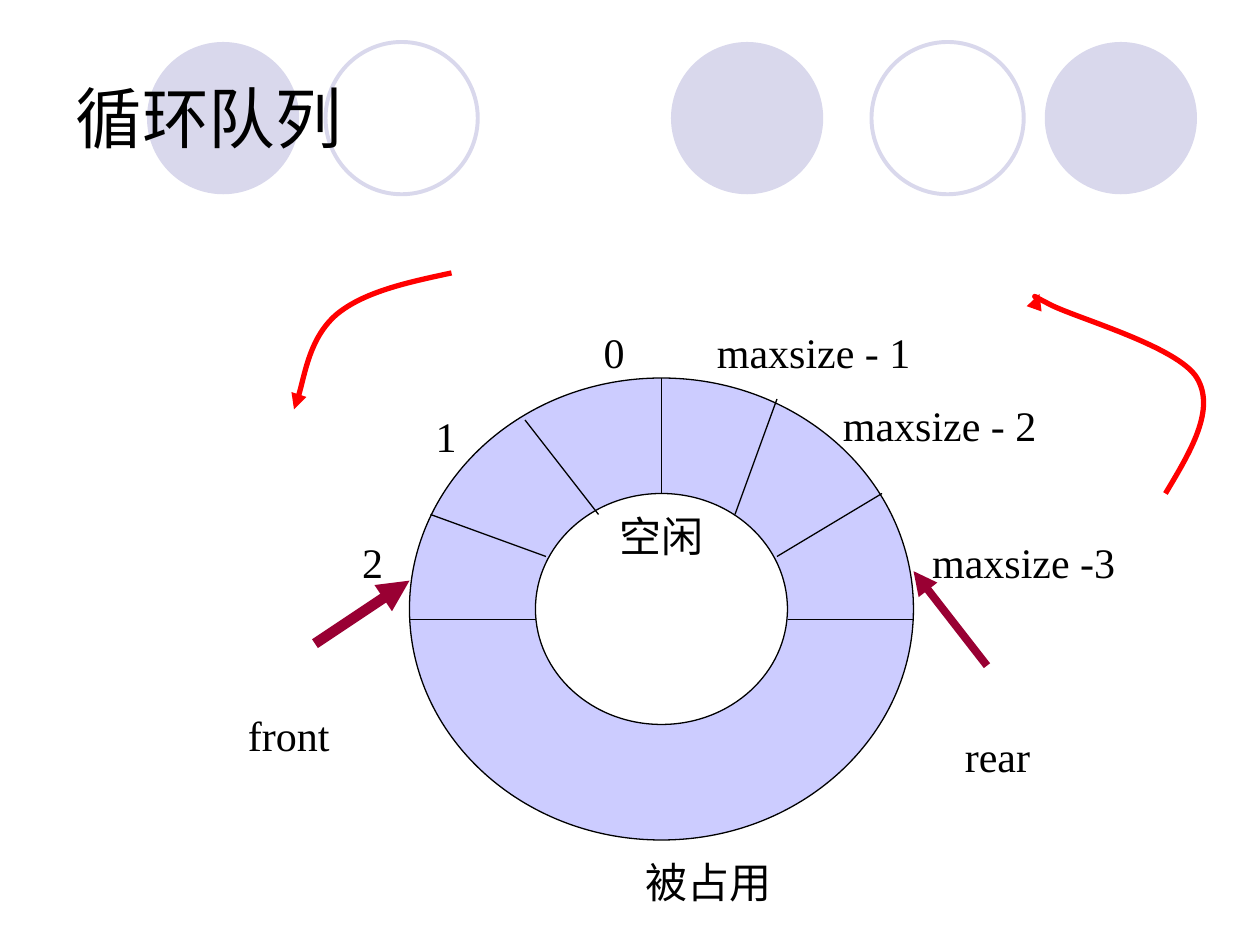
import pptx
import pptx.util
import pptx.dml.color
import pptx.enum.shapes
import pptx.enum.text
import pptx.oxml.ns
import lxml.etree

CELL = pptx.util.Inches(1) / 12
KAPPA = 0.5523
BLACK, LILAC, PALE, CRIMSON, RED = "000000", "CCCCFF", "D9D8EC", "990033", "FF0000"


def cells(*values):
    return [round(value * CELL) for value in values]


def shifted(box, points):
    return [(box[0] + x, box[1] + y) for x, y in points]


def color(code):
    return pptx.dml.color.RGBColor.from_string(code)


def set_fill(shape, code):
    if code:
        shape.fill.solid()
        shape.fill.fore_color.rgb = color(code)
    else:
        shape.fill.background()


def set_line(shape, code, width, arrow=False):
    if not code:
        shape.line.fill.background()
        return
    shape.line.color.rgb = color(code)
    shape.line.width = pptx.util.Pt(width)
    if arrow:
        outline = shape.line._get_or_add_ln()
        lxml.etree.SubElement(outline, pptx.oxml.ns.qn("a:tailEnd"), type="triangle")


def write_text(shape, text, size=24, font="Times New Roman", code=BLACK,
               align=pptx.enum.text.PP_ALIGN.CENTER, wrap=False):
    frame = shape.text_frame
    frame.word_wrap = wrap
    frame.vertical_anchor = pptx.enum.text.MSO_ANCHOR.MIDDLE
    paragraph = frame.paragraphs[0]
    paragraph.alignment = align
    run = paragraph.add_run()
    run.text = text
    run.font.size = pptx.util.Pt(size)
    run.font.name = font
    run.font.color.rgb = color(code)


def add_line(slide, start, end, code=BLACK, width=0.75, arrow=False):
    connector = slide.shapes.add_connector(
        pptx.enum.shapes.MSO_CONNECTOR.STRAIGHT, *cells(*start, *end))
    set_line(connector, code, width, arrow)
    lxml.etree.SubElement(connector._element.spPr, pptx.oxml.ns.qn("a:effectLst"))


def add_curves(slide, contours, closed=False, fill=None, code=BLACK, width=0.75, arrow=False):
    builder = slide.shapes.build_freeform(*cells(*contours[0][0]))
    for index, contour in enumerate(contours):
        if index:
            builder.move_to(*cells(*contour[0]))
        builder.add_line_segments([cells(*point) for point in contour[1:]], close=closed)
    shape = builder.convert_to_shape()
    segments = list(shape._element.iter(pptx.oxml.ns.qn("a:lnTo")))
    for first, *others in zip(segments[::3], segments[1::3], segments[2::3]):
        first.tag = pptx.oxml.ns.qn("a:cubicBezTo")
        for other in others:
            first.append(other[0])
            other.getparent().remove(other)
    shape.shadow.inherit = False
    set_fill(shape, fill)
    set_line(shape, code, width, arrow)


def ellipse_contour(center_x, center_y, radius_x, radius_y):
    unit = [(-1, 0), (-1, -KAPPA), (-KAPPA, -1), (0, -1), (KAPPA, -1), (1, -KAPPA),
            (1, 0), (1, KAPPA), (KAPPA, 1), (0, 1), (-KAPPA, 1), (-1, KAPPA), (-1, 0)]
    return [(center_x + x * radius_x, center_y + y * radius_y) for x, y in unit]


def add_header(slide, box, title):
    left, top, width, height = box
    for offset, filled in ((0, True), (17, False), (49.9, True), (69, False), (85.5, True)):
        circle = slide.shapes.add_shape(
            pptx.enum.shapes.MSO_SHAPE.OVAL, *cells(left + offset, top, height, height))
        circle.shadow.inherit = False
        set_fill(circle, PALE if filled else None)
        set_line(circle, None if filled else PALE, 2.25)
    heading = slide.shapes.title
    heading.left, heading.top, heading.width, heading.height = cells(6, 3.6, 108, 15)
    slide.shapes._spTree.append(heading._element)
    write_text(heading, title, size=38, font="Arial",
               align=pptx.enum.text.PP_ALIGN.LEFT, wrap=True)


def add_ring(slide, box):
    left, top, width, height = box
    center = left + width / 2, top + height / 2
    outer = ellipse_contour(*center, width / 2, height / 2)
    inner = ellipse_contour(*center, width / 4, height / 4)
    add_curves(slide, [outer, inner[::-1]], closed=True, fill=LILAC)
    dividers = [((0, 23), (12, 23)), ((36, 23), (48, 23)), ((24, 0), (24, 11)),
                ((11, 4), (18, 13)), ((2, 13), (13, 17)),
                ((35, 2), (31, 13)), ((45, 11), (35, 17))]
    for divider in dividers:
        add_line(slide, *shifted(box, divider))


def add_labels(slide, box):
    labels = [("0", 17, -5, 5, 5), ("1", 1, 3, 5, 5), ("2", -6, 15, 5, 5),
              ("maxsize - 1", 27.5, -5, 22, 5), ("maxsize - 2", 39.5, 2, 22, 5),
              ("maxsize -3", 47.5, 15, 22, 5), ("空闲", 18, 13, 12, 4),
              ("被占用", 19, 45, 19, 6), ("front", -21, 31, 19, 6), ("rear", 46.5, 33, 19, 6)]
    for text, column, row, width, height in labels:
        label = slide.shapes.add_textbox(
            *cells(box[0] + column, box[1] + row, width, height))
        write_text(label, text)


def add_pointers(slide, box):
    for start, end, width in (((-9, 25.3), (0, 19.3), 6), ((55, 27.4), (48, 18.4), 4.5)):
        add_line(slide, *shifted(box, (start, end)), code=CRIMSON, width=width, arrow=True)


def add_turn_arrows(slide, box):
    front_turn = [(4, -10), (-0.2, -9.1), (-4.4, -8.2), (-7, -6),
                  (-9.5, -3.8), (-10.3, 1.4), (-11, 3)]
    rear_turn = [(72, 11), (74.4, 7), (76.8, 3), (75, 0), (73.2, -3), (63.5, -5.7), (61, -7),
                 (58.5, -8.3), (59.25, -8.2), (60, -8)]
    for turn in (front_turn, rear_turn):
        add_curves(slide, [shifted(box, turn)], code=RED, width=3, arrow=True)


def main():
    presentation = pptx.Presentation()
    presentation.slide_width = pptx.util.Inches(10)
    presentation.slide_height = pptx.util.Inches(7.5)
    slide = presentation.slides.add_slide(presentation.slide_layouts[5])
    ring_box = 39, 36, 48, 44
    add_header(slide, (14, 4, 100, 14.5), "循环队列")
    for add_part in (add_ring, add_labels, add_pointers, add_turn_arrows):
        add_part(slide, ring_box)
    presentation.save("out.pptx")


if __name__ == "__main__":
    main()
